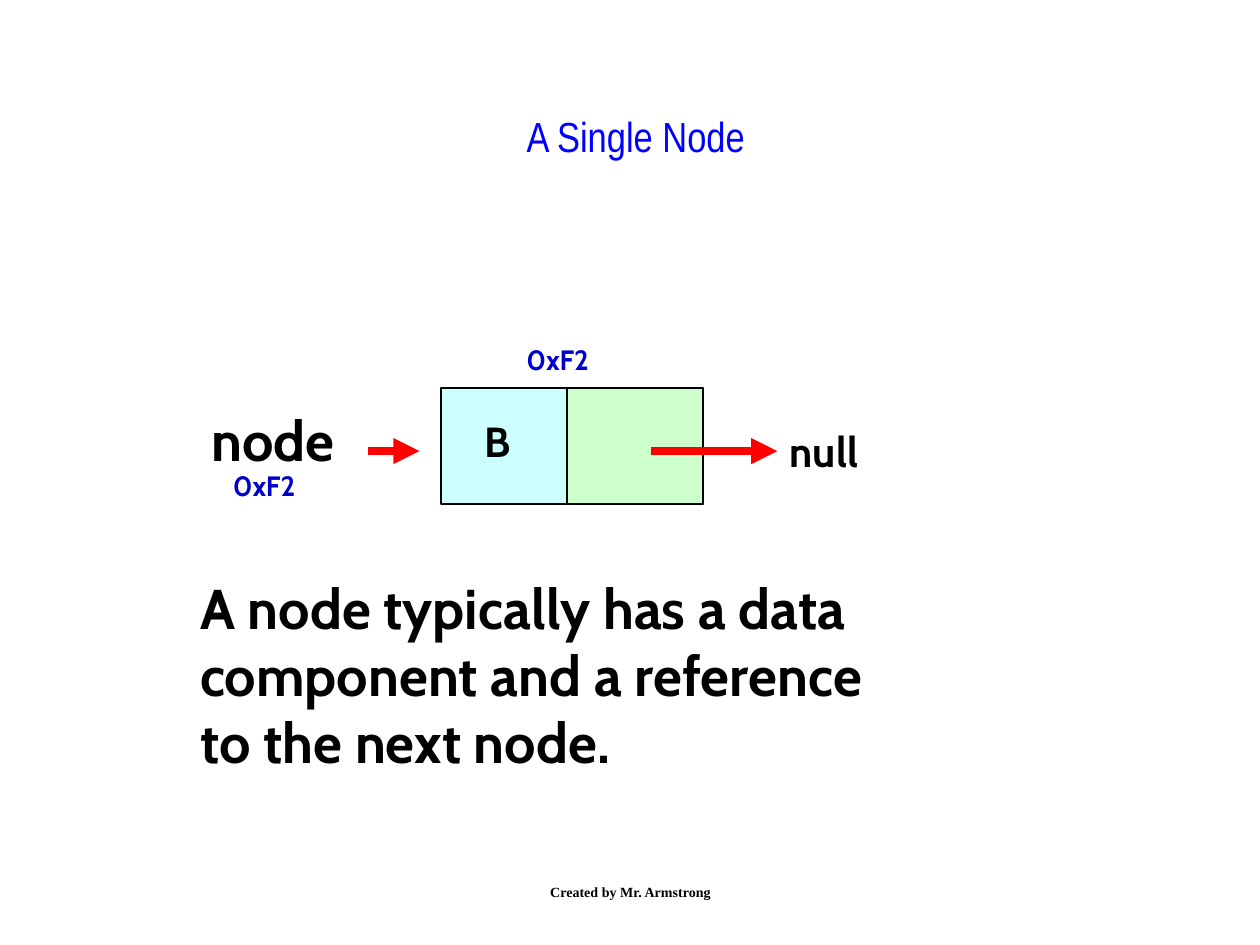
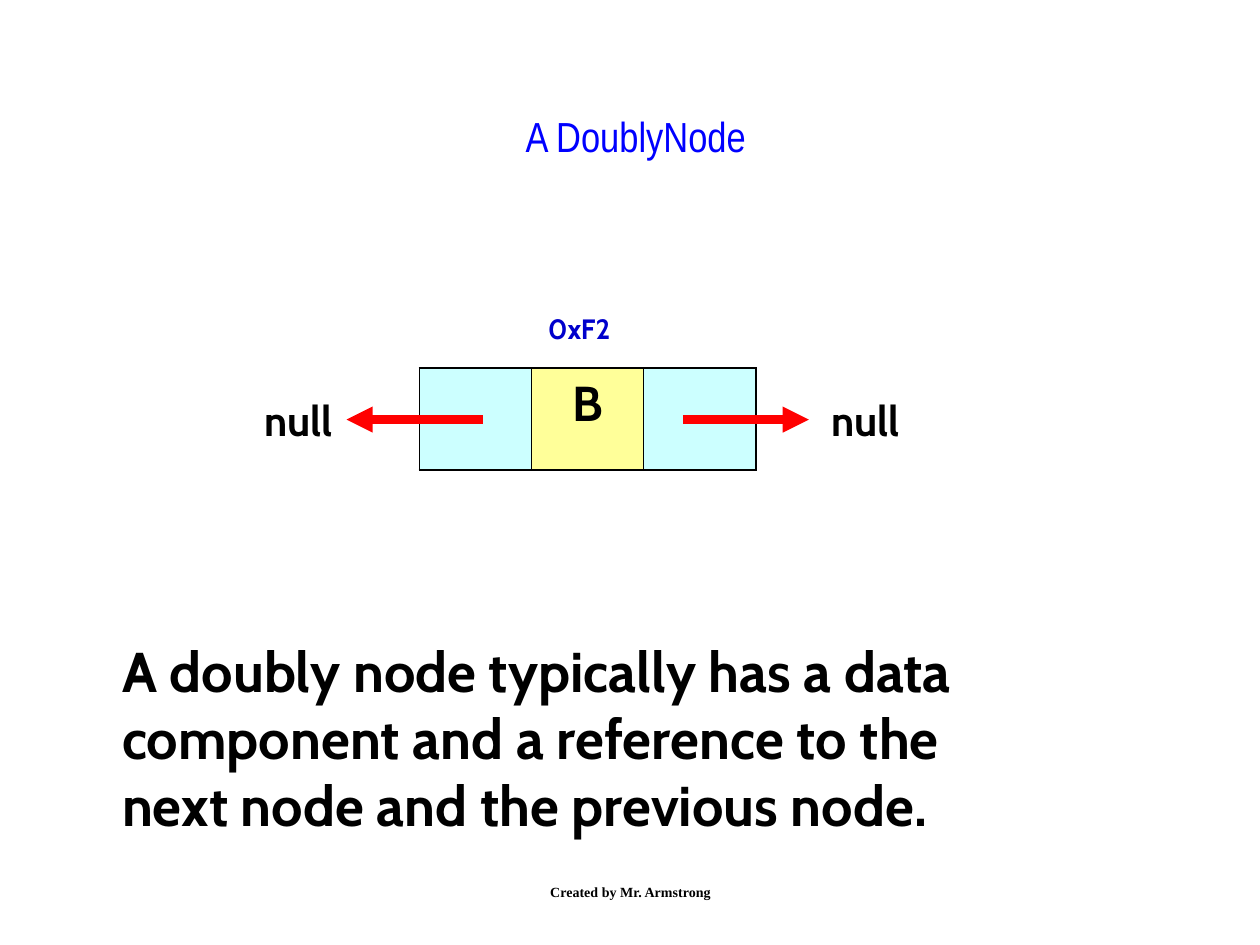
from lxml import etree
from pptx import Presentation
from pptx.dml.color import RGBColor
from pptx.enum.shapes import MSO_CONNECTOR, MSO_SHAPE
from pptx.enum.text import MSO_ANCHOR, MSO_AUTO_SIZE, PP_ALIGN
from pptx.oxml.ns import qn
from pptx.util import Inches, Pt

STRAIGHT, RECTANGLE = MSO_CONNECTOR.STRAIGHT, MSO_SHAPE.RECTANGLE
TOP, MIDDLE = MSO_ANCHOR.TOP, MSO_ANCHOR.MIDDLE
LEFT, CENTER = PP_ALIGN.LEFT, PP_ALIGN.CENTER
NO_AUTOFIT = MSO_AUTO_SIZE.NONE
TITLE_ONLY = 5

BLACK, RED, TITLE_BLUE, ADDRESS_BLUE = "000000", "FF0000", "0000FF", "0000CC"
CYAN, GREEN, YELLOW = "CCFFFF", "CCFFCC", "FFFF99"
TITLE_FONT, BODY_FONT, FOOTER_FONT = "Arial Narrow", "Cabin", "Times New Roman"
TITLE_BOX = (0.92, 0.83, 8.25, 1.17)
FOOTER_BOX = (3.42, 6.83, 3.17, 0.5)
THICK, THIN = 1.08, 0.45


def color(hex_value):
    """Turn a hex string into a colour."""
    return RGBColor.from_string(hex_value)


def add_solid(parent, hex_value):
    """Append a solid fill element to an outline element."""
    fill = etree.SubElement(parent, qn("a:solidFill"))
    etree.SubElement(fill, qn("a:srgbClr")).set("val", hex_value)


def write(frame, lines, size, hex_value=BLACK, font=BODY_FONT, bold=True, align=LEFT):
    """Fill a text frame with one paragraph for each line."""
    frame.text = "\n".join(lines)
    for paragraph in frame.paragraphs:
        paragraph.alignment = align
        for run in paragraph.runs:
            run.font.size = Pt(size)
            run.font.name = font
            run.font.bold = bold
            run.font.color.rgb = color(hex_value)


def add_text(slide, box, lines, size, anchor=TOP, **style):
    """Place a wrapping text box."""
    frame = slide.shapes.add_textbox(*map(Inches, box)).text_frame
    frame.word_wrap = True
    frame.vertical_anchor = anchor
    write(frame, lines, size, **style)


def add_address(slide, left, top):
    """Place a memory address label."""
    add_text(slide, (left, top, 1.08, 0.37), ["0xF2"], 16, hex_value=ADDRESS_BLUE)


def add_null(slide, left, top):
    """Place the label that ends a chain of references."""
    add_text(slide, (left, top, 1.08, 0.5), ["null"], 24)


def add_reference(slide, start, end, y):
    """Draw a horizontal red arrow from start to end."""
    arrow = slide.shapes.add_connector(STRAIGHT, *map(Inches, (start, y, end, y)))
    arrow.line.color.rgb = color(RED)
    arrow.line.width = Pt(5)
    etree.SubElement(arrow.line._get_or_add_ln(), qn("a:tailEnd")).set("type", "triangle")
    etree.SubElement(arrow._element.spPr, qn("a:effectLst"))


def add_field(slide, box, fill):
    """Draw one outlined field of a node."""
    field = slide.shapes.add_shape(RECTANGLE, *map(Inches, box))
    field.shadow.inherit = False
    field.fill.solid()
    field.fill.fore_color.rgb = color(fill)
    field.line.color.rgb = color(BLACK)
    field.line.width = Pt(1)


def add_border(cell, side, width):
    """Draw one black border of a table cell."""
    border = etree.SubElement(cell._tc.get_or_add_tcPr(), qn(f"a:ln{side}"))
    border.set("w", str(Pt(width)))
    add_solid(border, BLACK)


def add_single_node(slide, left, top, width, height):
    """Draw a node with a data field and a reference to the next node."""
    right, arrow_y = left + width, top + 0.5
    add_reference(slide, left - 0.58, left - 0.17, arrow_y)
    add_field(slide, (left, top, width, height), CYAN)
    add_field(slide, (left + 1, top, width - 1, height), GREEN)
    add_reference(slide, right - 0.41, right + 0.59, arrow_y)
    add_text(slide, (left + 0.25, top + 0.17, 0.92, 0.5), ["B"], 24)
    add_null(slide, right + 0.59, top + 0.25)
    add_text(slide, (left - 1.92, top + 0.09, 1.42, 0.64), ["node"], 32)
    add_address(slide, left - 1.75, top + 0.59)
    add_address(slide, left + 0.58, top - 0.41)


def add_doubly_node(slide, left, top, width, height):
    """Draw a node with references to the previous and next nodes."""
    right, arrow_y = left + width, top + 0.41
    node = slide.shapes.add_table(1, 3, *map(Inches, (left, top, width, height))).table
    node.first_row = node.horz_banding = False
    fills = (CYAN, YELLOW, CYAN)
    for index, fill in enumerate(fills):
        node.columns[index].width = Inches(width / len(fills))
        cell = node.cell(0, index)
        add_border(cell, "L", THICK if index == 0 else THIN)
        add_border(cell, "R", THICK if index == len(fills) - 1 else THIN)
        add_border(cell, "T", THICK)
        add_border(cell, "B", THICK)
        cell.fill.solid()
        cell.fill.fore_color.rgb = color(fill)
    write(node.cell(0, 1).text_frame, ["B"], 28, align=CENTER)
    add_reference(slide, right - 0.58, right + 0.42, arrow_y)
    add_reference(slide, left + 0.5, left - 0.58, arrow_y)
    add_null(slide, left - 1.33, top + 0.16)
    add_null(slide, right + 0.5, top + 0.16)
    add_address(slide, left + 0.92, top - 0.5)


def add_title(slide, title):
    """Place and format the slide title."""
    heading = slide.shapes.title
    heading.left, heading.top, heading.width, heading.height = map(Inches, TITLE_BOX)
    frame = heading.text_frame
    frame.auto_size = NO_AUTOFIT
    frame.vertical_anchor = TOP
    write(frame, [title], 24, TITLE_BLUE, TITLE_FONT, bold=False, align=CENTER)


def add_node_slide(deck, title, draw_node, node_box, summary_box, summary):
    """Build a slide with a title, a node diagram, a summary and the footer."""
    slide = deck.slides.add_slide(deck.slide_layouts[TITLE_ONLY])
    add_title(slide, title)
    draw_node(slide, *node_box)
    add_text(slide, summary_box, summary, 32)
    add_text(slide, FOOTER_BOX, ["Created by Mr. Armstrong"], 8, anchor=MIDDLE,
             font=FOOTER_FONT, align=CENTER)


def main():
    """Build and save the deck."""
    deck = Presentation()
    deck.slide_width, deck.slide_height = Inches(10), Inches(7.5)
    add_node_slide(
        deck, "A Single Node", add_single_node, (3.5, 3.08, 2.08, 0.92),
        (1.49, 4.5, 6.34, 1.7),
        ["A node typically has a data", "component and a reference", "to the next node."])
    add_node_slide(
        deck, "A DoublyNode", add_doubly_node, (3.33, 2.92, 2.67, 0.81),
        (0.87, 5, 7.91, 1.7),
        ["A doubly node typically has a data", "component and a reference to the",
         "next node and the previous node."])
    deck.save("out.pptx")


if __name__ == "__main__":
    main()
